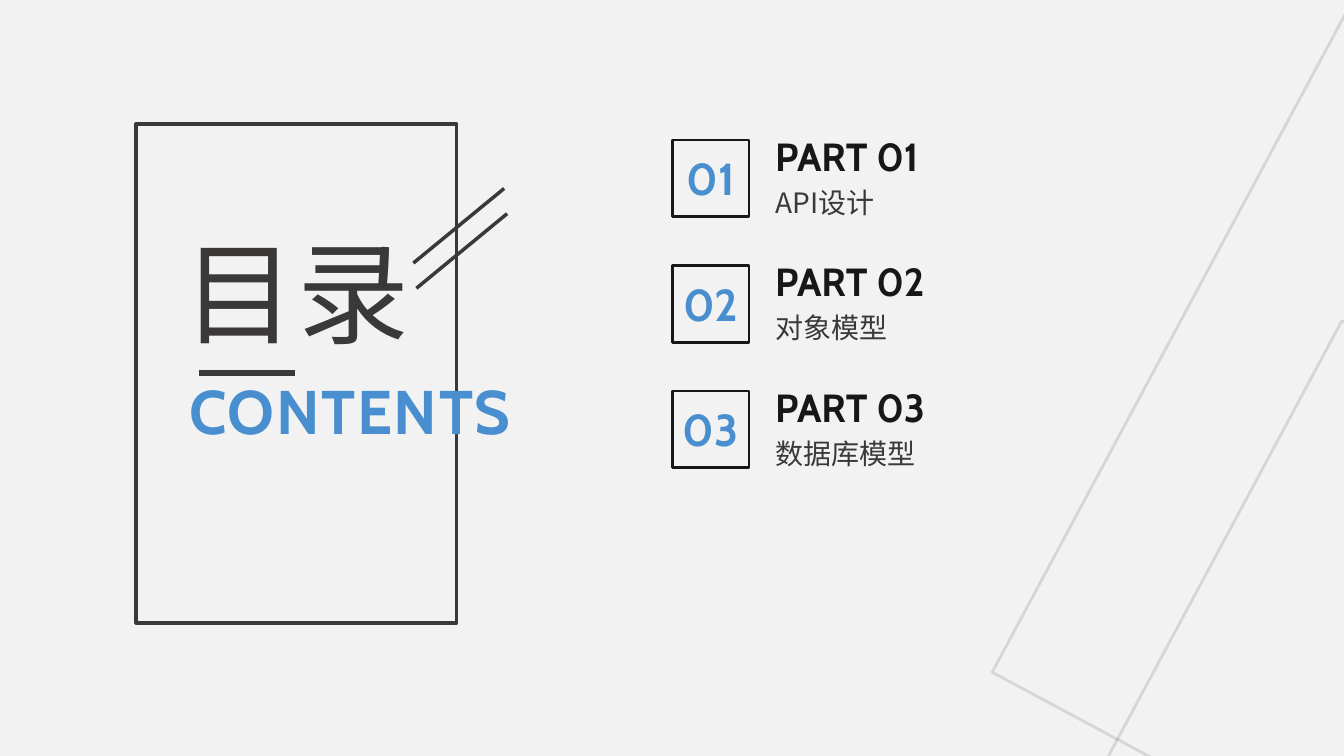
from lxml.etree import SubElement
from pptx import Presentation
from pptx.dml.color import RGBColor
from pptx.enum.shapes import MSO_CONNECTOR as CONN, MSO_SHAPE as SHAPE
from pptx.enum.text import PP_ALIGN as ALIGN
from pptx.oxml.ns import qn
from pptx.util import Inches, Pt

LATIN, CJK = "Cabin", "Noto Sans CJK SC"
DARK, BLACK, BLUE, PAPER = "3B3838", "181717", "498FCF", "F2F2F2"


def color(hex_code):
    return RGBColor.from_string(hex_code)


def add_frame(slide, x, y, w, h, line, weight, rotation=0, opacity=None):
    sp = slide.shapes.add_shape(SHAPE.RECTANGLE, *map(Inches, (x, y, w, h)))
    sp.shadow.inherit = False
    sp.fill.background()
    sp.line.color.rgb = color(line)
    sp.line.width = Pt(weight)
    sp.rotation = rotation
    if opacity is not None:
        clr = sp.line._ln.find(".//" + qn("a:srgbClr"))
        SubElement(clr, qn("a:alpha"), val=str(opacity * 1000))


def add_line(slide, x1, y1, x2, y2, weight):
    ln = slide.shapes.add_connector(CONN.STRAIGHT, *map(Inches, (x1, y1, x2, y2)))
    ln.line.color.rgb = color(DARK)
    ln.line.width = Pt(weight)
    SubElement(ln._element.spPr, qn("a:effectLst"))


def add_text(slide, x, y, w, h, text, size, font, fill, bold=False,
             align=ALIGN.LEFT, tracking=0, leading=None):
    tf = slide.shapes.add_textbox(*map(Inches, (x, y, w, h))).text_frame
    tf.word_wrap = True
    p = tf.paragraphs[0]
    p.text = text
    p.alignment = align
    if leading:
        p.line_spacing = Pt(leading)
    p.font.size = Pt(size)
    p.font.bold = bold
    p.font.color.rgb = color(fill)
    p.font.name = font
    props = p._p.pPr.find(qn("a:defRPr"))
    SubElement(props, qn("a:ea"), typeface=font)
    if tracking:
        props.set("spc", str(round(tracking * 100)))


def add_backdrop(slide, x, y):
    side = 7.51
    for dx, dy in ((0, 0), (-0.08, 3.13)):
        add_frame(slide, x + dx, y + dy, side, side, DARK, 2, 298.2, 15)


def add_title_panel(slide, x, y, w, h):
    add_frame(slide, x, y, w, h, DARK, 2.5)
    add_text(slide, x + 0.43, y + 2.42, 4.72, 0.84, "CONTENTS", 44, LATIN, BLUE,
             bold=True, tracking=1.2)
    add_line(slide, x + 0.62, y + 2.47, x + 1.58, y + 2.47, 4)
    add_text(slide, x + 0.37, y + 1.55, 4.16, 0.94, "目录", 80, CJK, DARK,
             tracking=1.3, leading=52)
    for dx, dy in ((0, 0), (0.03, 0.25)):
        add_line(slide, x + 3.65 + dx, y + 0.64 + dy,
                 x + 2.75 + dx, y + 1.38 + dy, 2.5)


def add_part(slide, x, y, number, name):
    side = 0.76
    add_frame(slide, x, y, side, side, BLACK, 2)
    add_text(slide, x, y + 0.06, side, 0.64, number, 32, LATIN, BLUE,
             bold=True, align=ALIGN.CENTER)
    add_text(slide, x + 0.92, y - 0.13, 2.25, 0.57, f"PART {number}", 28,
             LATIN, BLACK, bold=True)
    add_text(slide, x + 0.92, y + 0.4, 3.41, 0.44, name, 20, CJK, DARK)


def main():
    prs = Presentation()
    prs.slide_width, prs.slide_height = Inches(13.33), Inches(7.5)
    slide = prs.slides.add_slide(prs.slide_layouts[6])
    slide.background.fill.solid()
    slide.background.fill.fore_color.rgb = color(PAPER)
    add_backdrop(slide, 11.17, 1.38)
    add_title_panel(slide, 1.35, 1.23, 3.18, 4.95)
    for i, name in enumerate(("API设计", "对象模型", "数据库模型")):
        add_part(slide, 6.67, 1.39 + 1.245 * i, f"{i + 1:02}", name)
    prs.save("out.pptx")


if __name__ == "__main__":
    main()
